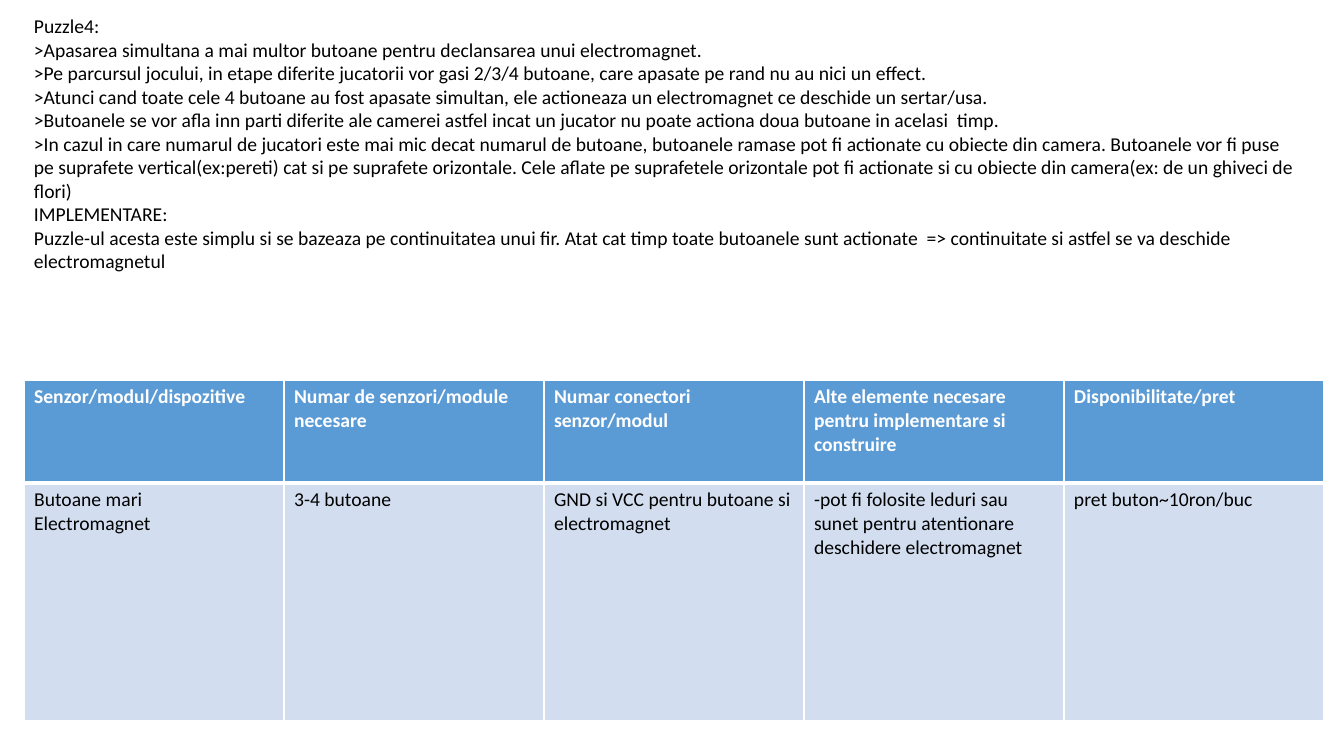
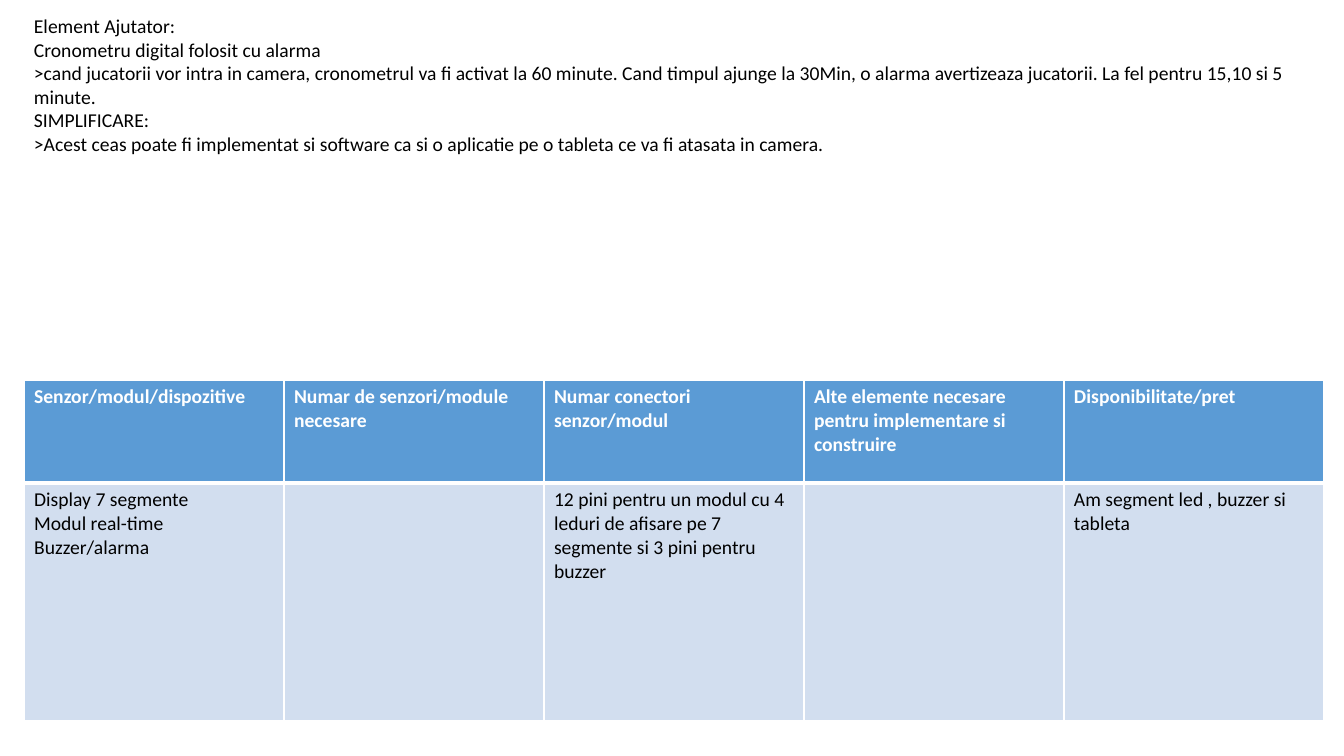
from lxml import etree
from pptx import Presentation
from pptx import util as u
from pptx.dml.color import RGBColor
from pptx.enum import text
from pptx.oxml.ns import qn

PX = 914400 / 100.8
WHITE, BLACK, BLUE, PALE = "FFFFFF", "000000", "5B9BD5", "D2DEEF"
HEADINGS = [
    "Senzor/modul/dispozitive",
    "Numar de senzori/module necesare",
    "Numar conectori senzor/modul",
    "Alte elemente necesare pentru implementare si construire",
    "Disponibilitate/pret",
]
HEADER = {"fill": BLUE, "color": WHITE, "bold": True,
          "borders": {"L": 1, "R": 1, "T": 1, "B": 3}}
BODY = {"fill": PALE, "color": BLACK, "bold": False,
        "borders": {"L": 1, "R": 1, "T": 3, "B": 1}}
ROW_HEIGHTS = (103, 238)
NOTES_BOX = (24, 9, 1284)
TABLE_BOX = (24, 380, 1300, sum(ROW_HEIGHTS))

SLIDES = [
    {
        "notes_height": 302,
        "notes": [
            "Puzzle4:",
            ">Apasarea simultana a mai multor butoane pentru declansarea unui electromagnet.",
            ">Pe parcursul jocului, in etape diferite jucatorii vor gasi 2/3/4 butoane, "
            "care apasate pe rand nu au nici un effect.",
            ">Atunci cand toate cele 4 butoane au fost apasate simultan, ele actioneaza "
            "un electromagnet ce deschide un sertar/usa.",
            ">Butoanele se vor afla inn parti diferite ale camerei astfel incat un jucator "
            "nu poate actiona doua butoane in acelasi  timp.",
            ">In cazul in care numarul de jucatori este mai mic decat numarul de butoane, "
            "butoanele ramase pot fi actionate cu obiecte din camera. Butoanele vor fi puse "
            "pe suprafete vertical(ex:pereti) cat si pe suprafete orizontale. Cele aflate pe "
            "suprafetele orizontale pot fi actionate si cu obiecte din camera(ex: de un "
            "ghiveci de flori)",
            "IMPLEMENTARE:",
            "Puzzle-ul acesta este simplu si se bazeaza pe continuitatea unui fir. Atat cat "
            "timp toate butoanele sunt actionate  => continuitate si astfel se va deschide "
            "electromagnetul",
        ],
        "cells": [
            ["Butoane mari", "Electromagnet"],
            ["3-4 butoane"],
            ["GND si VCC pentru butoane si electromagnet"],
            ["-pot fi folosite leduri sau sunet pentru atentionare deschidere electromagnet"],
            ["pret buton~10ron/buc"],
        ],
    },
    {
        "notes_height": 207,
        "notes": [
            "Element Ajutator:",
            "Cronometru digital folosit cu alarma",
            ">cand jucatorii vor intra in camera, cronometrul va fi activat la 60 minute. "
            "Cand timpul ajunge la 30Min, o alarma avertizeaza jucatorii. La fel pentru "
            "15,10 si 5 minute.",
            "SIMPLIFICARE:",
            ">Acest ceas poate fi implementat si software ca si o aplicatie pe o tableta "
            "ce va fi atasata in camera.",
        ],
        "cells": [
            ["Display 7 segmente", "Modul real-time", "Buzzer/alarma"],
            [],
            ["12 pini pentru un modul cu 4 leduri de afisare pe 7 segmente "
             "si 3 pini pentru buzzer"],
            [],
            ["Am segment led , buzzer si tableta"],
        ],
    },
]


def px(n):
    return u.Emu(round(n * PX))


def rgb(color):
    return RGBColor.from_string(color)


def write(tf, lines, color, bold=False):
    """Fill a text frame with one paragraph per line."""
    for i, line in enumerate(lines):
        p = tf.paragraphs[0] if i == 0 else tf.add_paragraph()
        r = p.add_run()
        r.text = line
        for name, value in {"name": "Calibri", "size": u.Pt(14), "bold": bold}.items():
            setattr(r.font, name, value)
        r.font.color.rgb = rgb(color)


def set_borders(cell, widths):
    """Draw white cell borders; widths maps a side to points."""
    tc_pr = cell._tc.get_or_add_tcPr()
    for i, (side, width) in enumerate(widths.items()):
        ln = etree.Element(qn(f"a:ln{side}"), w=str(u.Pt(width)))
        fill = etree.SubElement(ln, qn("a:solidFill"))
        etree.SubElement(fill, qn("a:srgbClr"), val=WHITE)
        tc_pr.insert(i, ln)


def add_notes(slide, box, lines):
    tf = slide.shapes.add_textbox(*map(px, box)).text_frame
    tf.word_wrap = True
    tf.auto_size = text.MSO_AUTO_SIZE.SHAPE_TO_FIT_TEXT
    write(tf, lines, BLACK)


def add_parts_table(slide, box, cells):
    rows = [(HEADER, [[heading] for heading in HEADINGS]), (BODY, cells)]
    table = slide.shapes.add_table(len(rows), len(HEADINGS), *map(px, box)).table
    for column in table.columns:
        column.width = px(box[2] / len(HEADINGS))
    for i, (style, row) in enumerate(rows):
        table.rows[i].height = px(ROW_HEIGHTS[i])
        for j, lines in enumerate(row):
            cell = table.cell(i, j)
            cell.fill.solid()
            cell.fill.fore_color.rgb = rgb(style["fill"])
            set_borders(cell, style["borders"])
            write(cell.text_frame, lines, style["color"], style["bold"])


def add_puzzle_slide(prs, content):
    slide = prs.slides.add_slide(prs.slide_layouts[6])
    add_parts_table(slide, TABLE_BOX, content["cells"])
    add_notes(slide, (*NOTES_BOX, content["notes_height"]), content["notes"])


def main():
    prs = Presentation()
    prs.slide_width, prs.slide_height = px(1344), px(756)
    for content in SLIDES:
        add_puzzle_slide(prs, content)
    prs.save("out.pptx")


if __name__ == "__main__":
    main()
